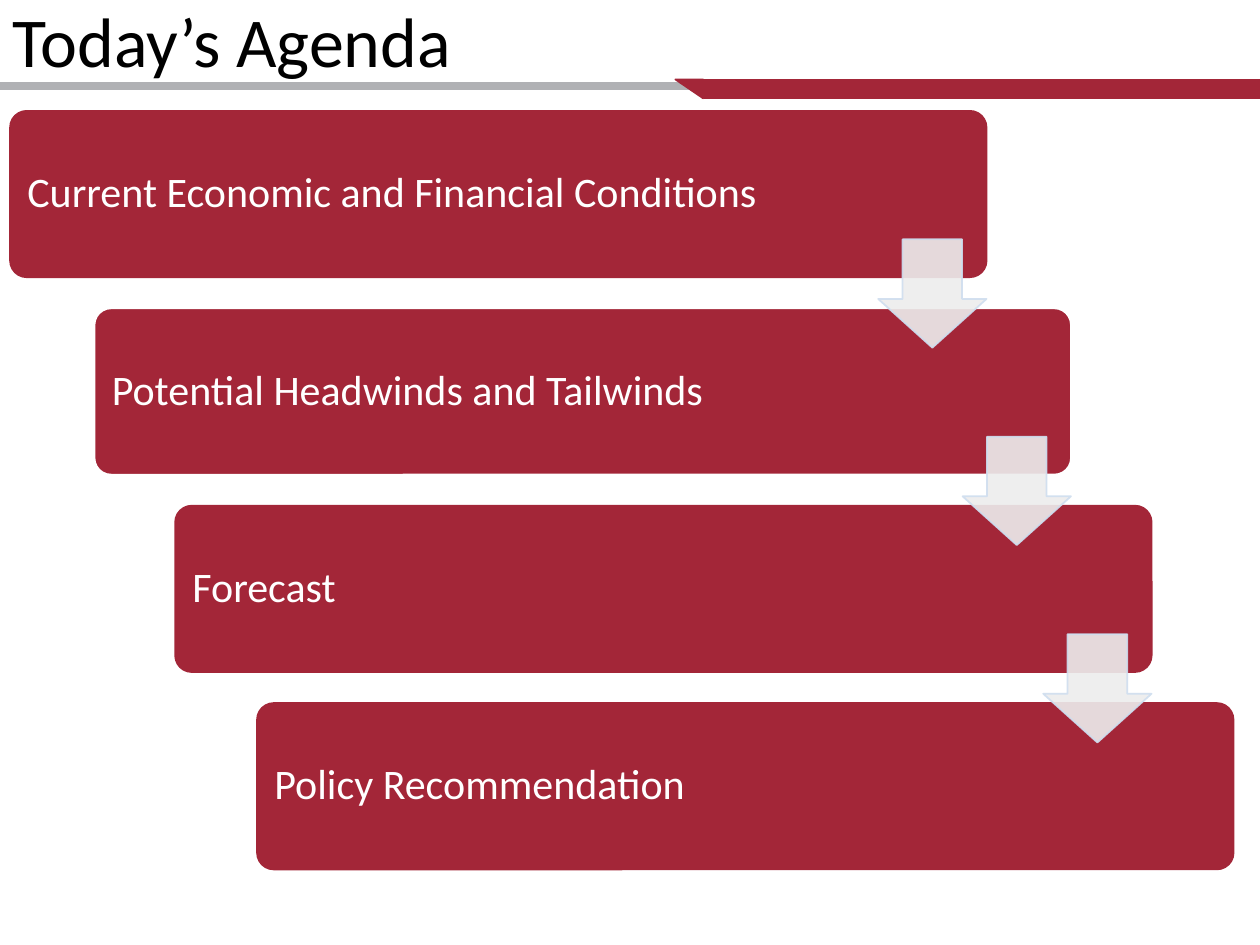
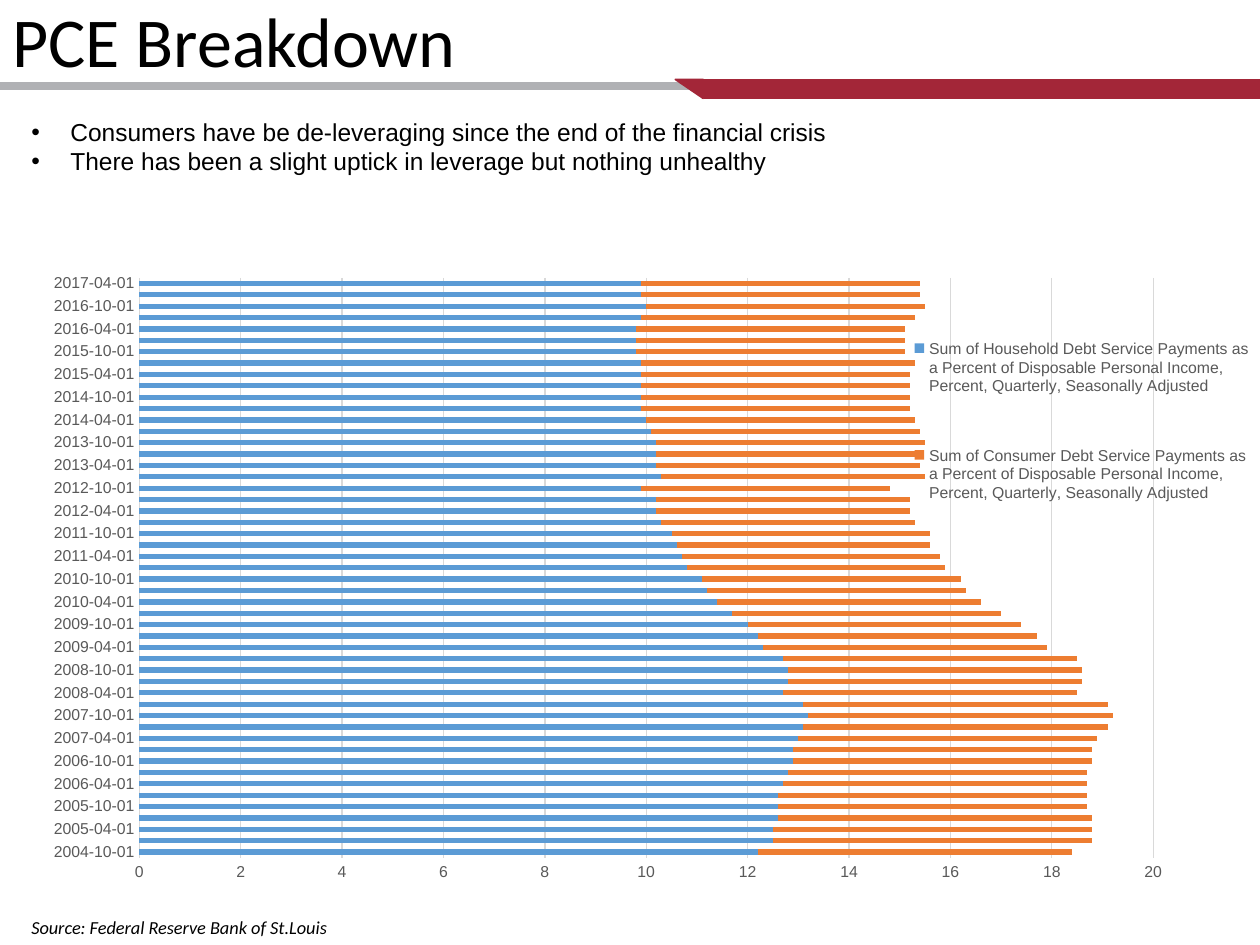
from lxml import etree
from pptx import Presentation
from pptx.chart.data import CategoryChartData
from pptx.dml.color import RGBColor
from pptx.enum.chart import XL_CHART_TYPE, XL_LEGEND_POSITION, XL_TICK_MARK
from pptx.enum.shapes import MSO_SHAPE
from pptx.enum.text import MSO_ANCHOR, PP_ALIGN
from pptx.oxml import parse_xml
from pptx.oxml.ns import nsdecls, qn
from pptx.util import Inches, Pt

RECT, ROUNDED = MSO_SHAPE.RECTANGLE, MSO_SHAPE.ROUNDED_RECTANGLE
TRIANGLE, DOWN_ARROW = MSO_SHAPE.RIGHT_TRIANGLE, MSO_SHAPE.DOWN_ARROW
TOP, MIDDLE, LEFT = MSO_ANCHOR.TOP, MSO_ANCHOR.MIDDLE, PP_ALIGN.LEFT
BAR_STACKED, LEGEND_RIGHT = XL_CHART_TYPE.BAR_STACKED, XL_LEGEND_POSITION.RIGHT
NO_TICK = XL_TICK_MARK.NONE

CRIMSON = RGBColor(0xA3, 0x26, 0x38)
BAND_GRAY = RGBColor(0xB0, 0xB1, 0xB4)
ARROW_FILL = RGBColor(0xED, 0xED, 0xED)
ARROW_LINE = RGBColor(0xCF, 0xDE, 0xEF)
BLACK = RGBColor(0, 0, 0)
WHITE = RGBColor(0xFF, 0xFF, 0xFF)
CHART_TEXT = RGBColor(0x59, 0x59, 0x59)
GRID = RGBColor(0xD9, 0xD9, 0xD9)
BLUE = RGBColor(0x5B, 0x9B, 0xD5)
ORANGE = RGBColor(0xED, 0x7D, 0x31)

# Agenda: text, left edge, outline
AGENDA = [
    ("Current Economic and Financial Conditions", 0.08, CRIMSON),
    ("Potential Headwinds and Tailwinds", 0.75, WHITE),
    ("Forecast", 1.39, CRIMSON),
    ("Policy Recommendation", 2.04, CRIMSON),
]
AGENDA_TOP, AGENDA_STEP = 0.88, 4.7 / 3

# Debt service, one value a quarter from 2004-10-01 to 2017-04-01
QUARTERS = [f"{year}-{month:02}-01" for year in range(2004, 2018)
            for month in (1, 4, 7, 10)][3:-2]
HOUSEHOLD = [
    12.2, 12.5, 12.5, 12.6, 12.6, 12.6, 12.7, 12.8, 12.9, 12.9, 13, 13.1, 13.2,
    13.1, 12.7, 12.8, 12.8, 12.7, 12.3, 12.2, 12, 11.7, 11.4, 11.2, 11.1, 10.8,
    10.7, 10.6, 10.5, 10.3, 10.2, 10.2, 9.9, 10.3, 10.2, 10.2, 10.2, 10.1, 10,
    9.9, 9.9, 9.9, 9.9, 9.9, 9.8, 9.8, 9.8, 9.9, 10, 9.9, 9.9]
CONSUMER = [
    6.2, 6.3, 6.3, 6.2, 6.1, 6.1, 6, 5.9, 5.9, 5.9, 5.9, 6, 6, 6, 5.8, 5.8, 5.8,
    5.8, 5.6, 5.5, 5.4, 5.3, 5.2, 5.1, 5.1, 5.1, 5.1, 5, 5.1, 5, 5, 5, 4.9, 5.2,
    5.2, 5.2, 5.3, 5.3, 5.3, 5.3, 5.3, 5.3, 5.3, 5.4, 5.3, 5.3, 5.3, 5.4, 5.5,
    5.5, 5.5]
SERIES = [("Household", HOUSEHOLD, BLUE), ("Consumer", CONSUMER, ORANGE)]
SERIES_NAME = ("Sum of {} Debt Service Payments as a Percent of Disposable "
               "Personal Income, Percent, Quarterly, Seasonally Adjusted")


def style_font(font, size, color, name, italic=False):
    font.size, font.name, font.italic = Pt(size), name, italic
    font.color.rgb = color


def chart_layout(x, y, width, height, inner=False):
    target = '<c:layoutTarget val="inner"/>' if inner else ""
    return parse_xml(
        f'<c:layout {nsdecls("c")}><c:manualLayout>{target}'
        '<c:xMode val="edge"/><c:yMode val="edge"/>'
        f'<c:x val="{x}"/><c:y val="{y}"/><c:w val="{width}"/><c:h val="{height}"/>'
        '</c:manualLayout></c:layout>')


class SlideBuilder:
    def __init__(self):
        self.deck = Presentation()
        self.deck.slide_width, self.deck.slide_height = Inches(10), Inches(7.5)
        self.page = None

    def new_page(self, title, title_width):
        self.page = self.deck.slides.add_slide(self.deck.slide_layouts[5])
        # Band under the title
        self.shape(RECT, 0, 0.66, 10, 0.05, BAND_GRAY)
        self.shape(TRIANGLE, 5.36, 0.63, 0.22, 0.15, CRIMSON).rotation = 180
        self.shape(RECT, 5.59, 0.63, 4.41, 0.15, CRIMSON)
        # Title, in front of the band
        box = self.page.shapes.title
        box.left, box.top = Inches(0), Inches(-0.07)
        box.width, box.height = Inches(title_width), Inches(0.77)
        self.page.shapes._spTree.append(box._element)
        box.text_frame.vertical_anchor = TOP
        self.fill_text(box, [title], 40)

    def shape(self, kind, left, top, width, height, fill, line=None, adjust=(), alpha=None):
        box = self.page.shapes.add_shape(
            kind, Inches(left), Inches(top), Inches(width), Inches(height))
        box.shadow.inherit = False
        box.fill.solid()
        box.fill.fore_color.rgb = fill
        box.line.color.rgb = line or fill
        box.line.width = Pt(1)
        for index, value in enumerate(adjust):
            box.adjustments[index] = value
        if alpha:
            for color in box._element.spPr.iter(qn("a:srgbClr")):
                etree.SubElement(color, qn("a:alpha")).set("val", str(alpha * 1000))
        return box

    def fill_text(self, box, lines, size, color=BLACK, font="Calibri", italic=False,
                  bullet=False, spacing=None):
        frame = box.text_frame
        frame.word_wrap = True
        for index, line in enumerate(lines):
            para = frame.add_paragraph() if index else frame.paragraphs[0]
            para.text = line
            para.alignment = LEFT
            if spacing:
                para.line_spacing = spacing
            if bullet:
                props = para._p.get_or_add_pPr()
                props.set("marL", str(Inches(0.31)))
                props.set("indent", str(Inches(-0.31)))
                etree.SubElement(props, qn("a:buFont")).set("typeface", "Arial")
                etree.SubElement(props, qn("a:buChar")).set("char", "•")
            for span in para.runs:
                style_font(span.font, size, color, font, italic)

    def text(self, left, top, width, height, lines, size, **style):
        box = self.page.shapes.add_textbox(
            Inches(left), Inches(top), Inches(width), Inches(height))
        self.fill_text(box, lines, size, **style)

    def debt_chart(self, left, top, width, height):
        data = CategoryChartData()
        data.categories = QUARTERS
        for payer, values, _ in SERIES:
            data.add_series(SERIES_NAME.format(payer), values)
        chart = self.page.shapes.add_chart(
            BAR_STACKED, Inches(left), Inches(top), Inches(width), Inches(height), data).chart
        chart.has_title = False
        style_font(chart.font, 9, CHART_TEXT, "Arial")

        # Bars
        plot = chart.plots[0]
        plot.gap_width, plot.overlap, plot.vary_by_categories = 116, 100, False
        for series, (_, _, color) in zip(plot.series, SERIES):
            series.format.fill.solid()
            series.format.fill.fore_color.rgb = color

        # Axes
        dates, percent = chart.category_axis, chart.value_axis
        for axis in (dates, percent):
            axis.major_tick_mark = axis.minor_tick_mark = NO_TICK
            style_font(axis.tick_labels.font, 9, CHART_TEXT, "Arial")
        percent.minimum_scale, percent.maximum_scale, percent.major_unit = 0, 20, 2
        percent.format.line.fill.background()
        percent.has_major_gridlines = True
        for line in (dates.format.line, percent.major_gridlines.format.line):
            line.color.rgb = GRID
            line.width = Pt(0.75)
        skip = parse_xml(f'<c:tickLblSkip {nsdecls("c")} val="2"/>')
        dates._element.find(qn("c:noMultiLvlLbl")).addprevious(skip)

        # Legend over the plot, and the plot area
        chart.has_legend = True
        legend = chart.legend
        legend.position, legend.include_in_layout = LEGEND_RIGHT, False
        style_font(legend.font, 9, CHART_TEXT, "Arial")
        for old in legend._element.findall(qn("c:layout")):
            legend._element.remove(old)
        legend._element.find(qn("c:legendPos")).addnext(chart_layout(0.73, 0.05, 0.27, 0.42))
        area = chart._chartSpace.chart.plotArea
        for old in area.findall(qn("c:layout")):
            area.remove(old)
        area.insert(0, chart_layout(0.097, 0.033, 0.817, 0.919, inner=True))


def agenda_page(builder):
    builder.new_page("Today’s Agenda", 3.76)
    tops = [AGENDA_TOP + AGENDA_STEP * index for index in range(len(AGENDA))]
    for (topic, left, line), top in zip(AGENDA, tops):
        box = builder.shape(ROUNDED, left, top, 7.75, 1.32, CRIMSON, line, adjust=(0.1,))
        box.text_frame.margin_left = Inches(0.1)
        box.text_frame.vertical_anchor = MIDDLE
        builder.fill_text(box, [topic], 24, color=WHITE, spacing=0.9)
    # Arrows from each topic to the next
    for (_, left, _), top in zip(AGENDA[:-1], tops):
        builder.shape(DOWN_ARROW, left + 6.89, top + 1.02, 0.86, 0.86, ARROW_FILL,
                      ARROW_LINE, adjust=(0.55, 0.45), alpha=90)


def breakdown_page(builder):
    builder.new_page("PCE Breakdown", 4.86)
    builder.text(0.15, 7.22, 4.01, 0.29, ["Source: Federal Reserve Bank of St.Louis"],
                 10.5, italic=True)
    builder.text(0.15, 0.88, 9.85, 1.16, [
        "Consumers have be de-leveraging since the end of the financial crisis",
        "There has been a slight uptick in leverage but nothing unhealthy",
    ], 14, font="Arial", bullet=True)
    builder.debt_chart(0.15, 2.04, 9.85, 5.01)


def main():
    builder = SlideBuilder()
    agenda_page(builder)
    breakdown_page(builder)
    builder.deck.save("out.pptx")


if __name__ == "__main__":
    main()
